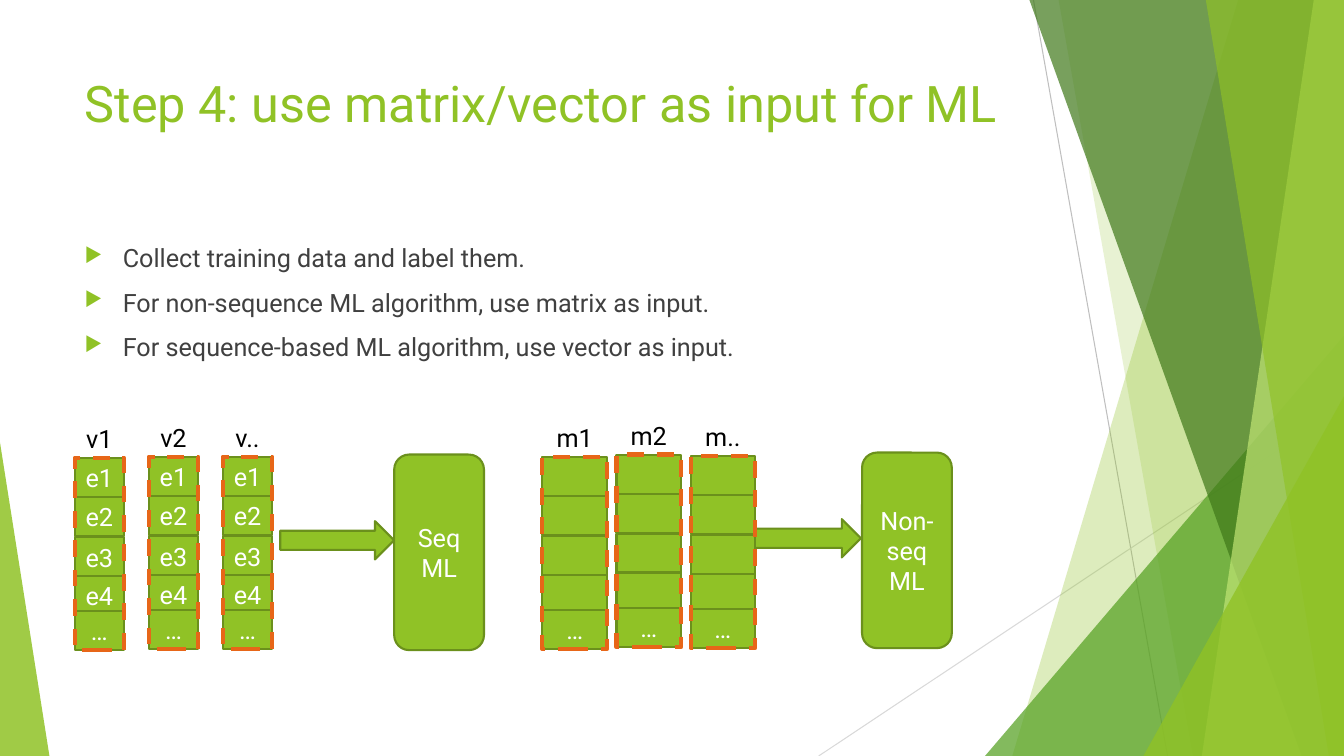
from dataclasses import dataclass

import pptx
import pptx.dml.color
import pptx.enum.dml
import pptx.enum.shapes
import pptx.enum.text
import pptx.oxml
import pptx.oxml.ns
import pptx.util

Inches = pptx.util.Inches
Pt = pptx.util.Pt
MSO = pptx.enum.shapes.MSO_SHAPE
ALIGN = pptx.enum.text.PP_ALIGN
ANCHOR = pptx.enum.text.MSO_ANCHOR
qn = pptx.oxml.ns.qn

GREEN, EDGE, ORANGE = "90C226", "6B901C", "E76618"
W, H = 13.33, 7.5
CELL_H, FRAME_H, LABEL_H = 0.39, 1.91, 0.4
CELL_OFFSETS = (0, 0.39, 0.79, 1.17, 1.52)
COLUMN_STEP = 0.735


@dataclass
class Ray:
    start: tuple[float, float]
    end: tuple[float, float]
    color: str


@dataclass
class Band:
    top_x: float
    bottom_x: float
    color: str
    alpha: int


@dataclass
class Wedge:
    left: float
    top: float
    width: float
    apex: float
    color: str
    alpha: int


@dataclass
class Column:
    label: str
    top: float


@dataclass
class Pipeline:
    left: float
    cell_width: float
    cells: tuple[str, ...]
    columns: tuple[Column, ...]
    arrow: tuple[float, float]
    model: str
    model_at: tuple[float, float]


def rgb(color: str) -> pptx.dml.color.RGBColor:
    return pptx.dml.color.RGBColor.from_string(color)


def format_text(tf, size: float, color: str, align=ALIGN.CENTER, anchor=ANCHOR.TOP) -> None:
    tf.word_wrap = True
    tf.auto_size = pptx.enum.text.MSO_AUTO_SIZE.NONE
    tf.vertical_anchor = anchor
    for p in tf.paragraphs:
        p.alignment = align
        for r in p.runs:
            r.font.size = Pt(size)
            r.font.name = "Roboto"
            r.font.color.rgb = rgb(color)


def fill_clear(sp, color: str, alpha: int) -> None:
    sp.shadow.inherit = False
    sp.fill.solid()
    sp.fill.fore_color.rgb = rgb(color)
    clr = sp.fill._xPr.find(qn("a:solidFill"))[0]
    pptx.oxml.ns and clr.append(pptx.oxml.parse_xml(
        f'<a:alpha {pptx.oxml.ns.nsdecls("a")} val="{alpha * 1000}"/>'))
    sp.line.fill.background()


def add_ray(shapes, ray: Ray) -> None:
    points = [Inches(v) for v in (*ray.start, *ray.end)]
    cx = shapes.add_connector(pptx.enum.shapes.MSO_CONNECTOR.STRAIGHT, *points)
    cx.line.color.rgb = rgb(ray.color)
    cx.line.width = Pt(0.75)
    cx._element.spPr.append(pptx.oxml.parse_xml(
        f'<a:effectLst {pptx.oxml.ns.nsdecls("a")}/>'))


def add_band(shapes, band: Band) -> None:
    outline = [(band.top_x, 0), (W, 0), (W, H), (band.bottom_x, H)]
    points = [(Inches(x), Inches(y)) for x, y in outline]
    fb = shapes.build_freeform(*points[0])
    fb.add_line_segments(points[1:], close=True)
    fill_clear(fb.convert_to_shape(), band.color, band.alpha)


def add_wedge(shapes, wedge: Wedge) -> None:
    sp = shapes.add_shape(MSO.ISOSCELES_TRIANGLE, Inches(wedge.left), Inches(wedge.top),
                          Inches(wedge.width), Inches(H - wedge.top))
    sp.adjustments[0] = wedge.apex
    fill_clear(sp, wedge.color, wedge.alpha)


def add_block(shapes, kind, left: float, top: float, width: float, height: float,
              text: str = "", margin: float = 0.1) -> None:
    sp = shapes.add_shape(kind, Inches(left), Inches(top), Inches(width), Inches(height))
    sp.shadow.inherit = False
    sp.fill.solid()
    sp.fill.fore_color.rgb = rgb(GREEN)
    sp.line.color.rgb = rgb(EDGE)
    sp.line.width = Pt(1.5)
    if text:
        tf = sp.text_frame
        tf.text = text
        tf.margin_left = tf.margin_right = Inches(margin)
        format_text(tf, 18, "FFFFFF", anchor=ANCHOR.MIDDLE)


def add_column(shapes, column: Column, left: float, width: float, cells: tuple[str, ...]) -> None:
    for text, offset in zip(cells, CELL_OFFSETS):
        add_block(shapes, MSO.RECTANGLE, left, column.top + offset, width, CELL_H, text, 0)
    frame = shapes.add_shape(MSO.RECTANGLE, Inches(left), Inches(column.top),
                             Inches(width), Inches(FRAME_H))
    frame.shadow.inherit = False
    frame.fill.background()
    frame.line.color.rgb = rgb(ORANGE)
    frame.line.width = Pt(3)
    frame.line.dash_style = pptx.enum.dml.MSO_LINE.DASH
    label = shapes.add_textbox(Inches(left), Inches(column.top - 0.39),
                               Inches(width), Inches(LABEL_H))
    tf = label.text_frame
    tf.text = column.label
    tf.margin_left = tf.margin_right = 0
    format_text(tf, 18, "000000")


def add_pipeline(shapes, pipe: Pipeline) -> None:
    add_block(shapes, MSO.RIGHT_ARROW, *pipe.arrow, 1.13, 0.38)
    for i, column in enumerate(pipe.columns):
        add_column(shapes, column, pipe.left + i * COLUMN_STEP, pipe.cell_width, pipe.cells)
    add_block(shapes, MSO.ROUNDED_RECTANGLE, *pipe.model_at, 0.89, 1.94, pipe.model)


def add_bullets(shapes, lines: list[str]) -> None:
    tf = shapes.add_textbox(Inches(0.74), Inches(2.36), Inches(9.4), Inches(1.27)).text_frame
    tf.text = "\n".join(lines)
    format_text(tf, 18, "404040", ALIGN.LEFT)
    for p in tf.paragraphs:
        p.space_before = Pt(10)
        pPr = p._p.get_or_add_pPr()
        pPr.set("marL", str(Inches(0.38)))
        pPr.set("indent", str(-Inches(0.38)))
        for tag in (f'buClr {{}}><a:srgbClr val="{GREEN}"/></a:buClr>',
                    'buSzPct {} val="80000"/>', 'buChar {} char="▶"/>'):
            pPr.append(pptx.oxml.parse_xml("<a:" + tag.format(pptx.oxml.ns.nsdecls("a"))))


RAYS = [Ray((10.25, 0), (11.58, H), "BFBFBF"), Ray((W, 4.03), (8.12, H), "D9D9D9")]
FACETS = [
    Band(12.28, 10.04, GREEN, 30),
    Band(10.5, 11.83, GREEN, 20),
    Wedge(9.77, 3.33, 3.56, 1, "54A021", 72),
    Band(10.21, 12.91, "3F7819", 70),
    Band(13.03, 11.92, "C0E474", 70),
    Band(11.96, 13.18, GREEN, 65),
    Wedge(11.34, 3.93, 1.99, 1, GREEN, 80),
    Wedge(0, 4.39, 0.49, 0, GREEN, 85),
]
PIPELINES = [
    Pipeline(0.74, 0.49, ("e1", "e2", "e3", "e4", "…"),
             (Column("v1", 4.54), Column("v2", 4.53), Column("v..", 4.53)),
             (2.78, 5.17), "Seq ML", (3.91, 4.51)),
    Pipeline(5.38, 0.64, ("", "", "", "", "…"),
             (Column("m1", 4.53), Column("m2", 4.51), Column("m..", 4.52)),
             (7.41, 5.15), "Non-seq ML", (8.55, 4.49)),
]

prs = pptx.Presentation()
prs.slide_width, prs.slide_height = Inches(W), Inches(H)
s = prs.slides.add_slide(prs.slide_layouts[5])
for ray in RAYS:
    add_ray(s.shapes, ray)
for facet in FACETS:
    if isinstance(facet, Band):
        add_band(s.shapes, facet)
    else:
        add_wedge(s.shapes, facet)

title = s.shapes.title
title.left, title.top, title.width, title.height = map(Inches, (0.74, 0.67, 9.4, 1.44))
title.text_frame.text = "Step 4: use matrix/vector as input for ML"
format_text(title.text_frame, 36, GREEN, ALIGN.LEFT)

add_bullets(s.shapes, [
    "Collect training data and label them.",
    "For non-sequence ML algorithm, use matrix as input.",
    "For sequence-based ML algorithm, use vector as input.",
])
for pipe in PIPELINES:
    add_pipeline(s.shapes, pipe)

prs.save("out.pptx")
